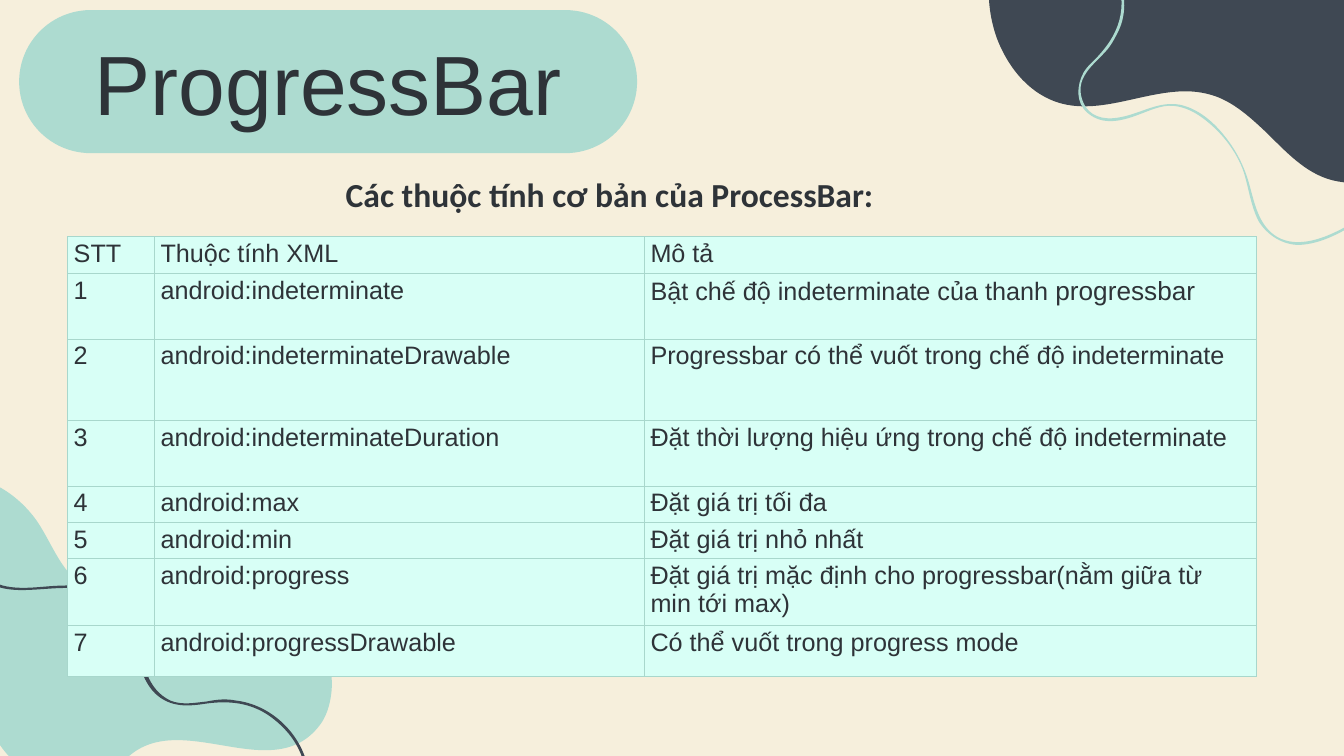
from pptx import Presentation
from pptx.dml.color import RGBColor
from pptx.enum.shapes import MSO_SHAPE
from pptx.enum.text import MSO_ANCHOR, MSO_AUTO_SIZE, PP_ALIGN
from pptx.oxml import parse_xml
from pptx.oxml.ns import nsdecls, qn
from pptx.oxml.xmlchemy import OxmlElement
from pptx.util import Pt

COLORS = {
    "cream": "F6EFDC",
    "slate": "3F4853",
    "mint": "ADDBD0",
    "ink": "2E3338",
    "cell": "D8FFF6",
    "border": "A8D7CC",
}
GRID = 0.72  # points per unit of the decoration outlines

# Outlines: a start point, then three points for each Bézier curve
SLATE_BLOB = [
    (1399, 142), (1388, 169), (1356, 186), (1327, 180), (1299, 175), (1279, 154), (1258, 133),
    (1241, 117), (1223, 100), (1201, 94), (1153, 80), (1102, 115), (1054, 103),
    (1023, 95), (1001, 69), (989, 38), (984, 24), (981, 8), (981, -7),
    (981, -16), (981, -25), (983, -34), (1047, -34), (1313, -34), (1313, -34),
    (1320, -23), (1327, -13), (1335, -3), (1354, 18), (1374, 38), (1389, 62),
    (1403, 86), (1411, 116), (1399, 142),
]
MINT_BLOB = [
    (329, 685), (328, 696), (325, 708), (319, 717), (273, 783), (181, 702), (127, 751),
    (102, 775), (95, 791), (53, 778), (20, 768), (-9, 739), (-14, 704),
    (-17, 686), (-14, 667), (-15, 648), (-16, 637), (-18, 627), (-24, 617),
    (-41, 588), (-82, 583), (-99, 554), (-116, 522), (-89, 478), (-53, 473),
    (-18, 467), (18, 489), (38, 519), (51, 539), (59, 562), (77, 577),
    (99, 596), (130, 599), (160, 596), (164, 596), (168, 596), (173, 595),
    (207, 591), (241, 584), (273, 596), (308, 610), (332, 648), (329, 685),
]
SLATE_RIBBON = [
    (302, 759), (297, 738), (284, 722), (267, 710), (248, 697), (227, 695), (205, 698),
    (186, 701), (169, 702), (154, 688), (140, 674), (137, 654), (134, 636),
    (129, 612), (117, 594), (92, 587), (73, 581), (53, 584), (34, 585),
    (17, 586), (0, 586), (-15, 576), (-31, 564), (-38, 538), (-42, 519),
    (-42, 518), (-40, 517), (-39, 519), (-33, 544), (-24, 574), (3, 581),
    (23, 586), (44, 581), (63, 581), (79, 580), (96, 582), (110, 591),
    (126, 601), (133, 617), (137, 636), (142, 658), (146, 684), (169, 695),
    (181, 700), (194, 697), (205, 696), (215, 694), (224, 693), (234, 695),
    (268, 699), (297, 726), (305, 759), (305, 760), (302, 761), (302, 759),
]
MINT_RIBBON = [
    (1345, 222), (1328, 232), (1310, 242), (1289, 243), (1273, 243), (1258, 234), (1249, 220),
    (1241, 205), (1239, 187), (1234, 171), (1227, 150), (1211, 130), (1193, 117),
    (1185, 111), (1175, 106), (1164, 105), (1152, 104), (1140, 110), (1129, 114),
    (1113, 120), (1094, 125), (1079, 112), (1067, 102), (1068, 85), (1075, 72),
    (1079, 65), (1086, 60), (1091, 54), (1099, 45), (1105, 36), (1109, 25),
    (1114, 11), (1114, -5), (1109, -20), (1109, -21), (1111, -22), (1111, -21),
    (1117, -4), (1117, 15), (1110, 30), (1106, 38), (1102, 46), (1096, 52),
    (1089, 60), (1081, 66), (1076, 75), (1070, 85), (1071, 96), (1077, 106),
    (1085, 118), (1100, 119), (1113, 116), (1133, 112), (1150, 100), (1171, 104),
    (1189, 108), (1204, 121), (1215, 135), (1227, 150), (1235, 166), (1240, 185),
    (1245, 203), (1249, 224), (1267, 235), (1288, 247), (1315, 236), (1335, 225),
    (1338, 224), (1341, 222), (1344, 220), (1346, 219), (1347, 221), (1345, 222),
]

COLUMN_WIDTHS = [62, 350, 437]
ROW_HEIGHTS = [25.5, 47, 58, 47, 25.5, 25.5, 47, 36.5]
HEADER = ("STT", "Thuộc tính XML", "Mô tả")
ATTRIBUTES = [
    ("android:indeterminate", "Bật chế độ indeterminate của thanh "),
    ("android:indeterminateDrawable", "Progressbar có thể vuốt trong chế độ indeterminate"),
    ("android:indeterminateDuration", "Đặt thời lượng hiệu ứng trong chế độ indeterminate"),
    ("android:max", "Đặt giá trị tối đa"),
    ("android:min", "Đặt giá trị nhỏ nhất"),
    ("android:progress", "Đặt giá trị mặc định cho progressbar(nằm giữa từ min tới max)"),
    ("android:progressDrawable", "Có thể vuốt trong progress mode"),
]


def color(name):
    return RGBColor.from_string(COLORS[name])


def write(paragraph, text, size=18, font="Arial", bold=False, align=None, after=None):
    run = paragraph.add_run()
    run.text = text
    run.font.size = Pt(size)
    run.font.name = font
    run.font.bold = bold
    run.font.color.rgb = color("ink")
    if align is not None:
        paragraph.alignment = align
    if after is not None:
        paragraph.space_after = Pt(after)


class SlideBuilder:
    def __init__(self, slide):
        self.slide = slide
        self.shapes = slide.shapes

    def background(self, fill):
        self.slide.background.fill.solid()
        self.slide.background.fill.fore_color.rgb = color(fill)

    def paint(self, shape, fill):
        shape.shadow.inherit = False
        shape.fill.solid()
        shape.fill.fore_color.rgb = color(fill)
        shape.line.fill.background()

    def curved_shape(self, outline, fill):
        start, *points = [(Pt(x * GRID), Pt(y * GRID)) for x, y in outline]
        builder = self.shapes.build_freeform(*start)
        builder.add_line_segments(points, close=True)
        shape = builder.convert_to_shape()
        # Turn each group of three points into one Bézier curve
        lines = list(shape._element.iter(qn("a:lnTo")))
        for first in range(0, len(lines), 3):
            curve = OxmlElement("a:cubicBezTo")
            lines[first].addprevious(curve)
            for line in lines[first:first + 3]:
                curve.append(line[0])
                line.getparent().remove(line)
        self.paint(shape, fill)

    def pill(self, left, top, width, height, text, fill, **text_format):
        shape = self.shapes.add_shape(
            MSO_SHAPE.ROUNDED_RECTANGLE, Pt(left), Pt(top), Pt(width), Pt(height))
        shape.adjustments[0] = 0.5
        self.paint(shape, fill)
        frame = shape.text_frame
        frame.vertical_anchor = MSO_ANCHOR.MIDDLE
        frame.margin_left = frame.margin_right = Pt(9.4)
        frame.margin_top = frame.margin_bottom = Pt(9.4)
        write(frame.paragraphs[0], text, align=PP_ALIGN.CENTER, **text_format)

    def text_box(self, left, top, width, height, text, **text_format):
        frame = self.shapes.add_textbox(Pt(left), Pt(top), Pt(width), Pt(height)).text_frame
        frame.word_wrap = True
        frame.auto_size = MSO_AUTO_SIZE.SHAPE_TO_FIT_TEXT
        write(frame.paragraphs[0], text, **text_format)

    def style_cell(self, cell):
        cell.margin_left = cell.margin_right = Pt(4.5)
        cell.margin_top = cell.margin_bottom = Pt(2.2)
        cell.fill.solid()
        cell.fill.fore_color.rgb = color("cell")
        properties = cell._tc.get_or_add_tcPr()
        for index, side in enumerate("LRTB"):
            properties.insert(index, parse_xml(
                f'<a:ln{side} {nsdecls("a")} w="{Pt(0.75)}"><a:solidFill>'
                f'<a:srgbClr val="{COLORS["border"]}"/></a:solidFill></a:ln{side}>'))

    def table(self, left, top, widths, heights, rows):
        table = self.shapes.add_table(
            len(rows), len(widths), Pt(left), Pt(top), Pt(sum(widths)), Pt(sum(heights))).table
        table.first_row = table.horz_banding = False
        for column, width in zip(table.columns, widths):
            column.width = Pt(width)
        for row, height, texts in zip(table.rows, heights, rows):
            row.height = Pt(height)
            for cell, text in zip(row.cells, texts):
                self.style_cell(cell)
                write(cell.text_frame.paragraphs[0], text)
        return table


def main():
    presentation = Presentation()
    presentation.slide_width, presentation.slide_height = Pt(960), Pt(540)
    builder = SlideBuilder(presentation.slides.add_slide(presentation.slide_layouts[6]))

    # Background and decorations
    builder.background("cream")
    builder.curved_shape(SLATE_BLOB, "slate")
    builder.curved_shape(MINT_BLOB, "mint")
    builder.curved_shape(SLATE_RIBBON, "slate")
    builder.curved_shape(MINT_RIBBON, "mint")

    # Title and subtitle
    builder.pill(13.7, 7.2, 441.4, 102.2, "ProgressBar", "mint", size=60)
    builder.text_box(239.8, 121, 543.6, 36, "Các thuộc tính cơ bản của ProcessBar:",
                     size=24, font="Calibri", bold=True, after=16)

    # Attribute table
    rows = [HEADER] + [(str(number), *texts) for number, texts in enumerate(ATTRIBUTES, 1)]
    table = builder.table(48.2, 169.2, COLUMN_WIDTHS, ROW_HEIGHTS, rows)
    write(table.cell(1, 2).text_frame.paragraphs[0], "progressbar", size=18.7)

    presentation.save("out.pptx")


if __name__ == "__main__":
    main()
